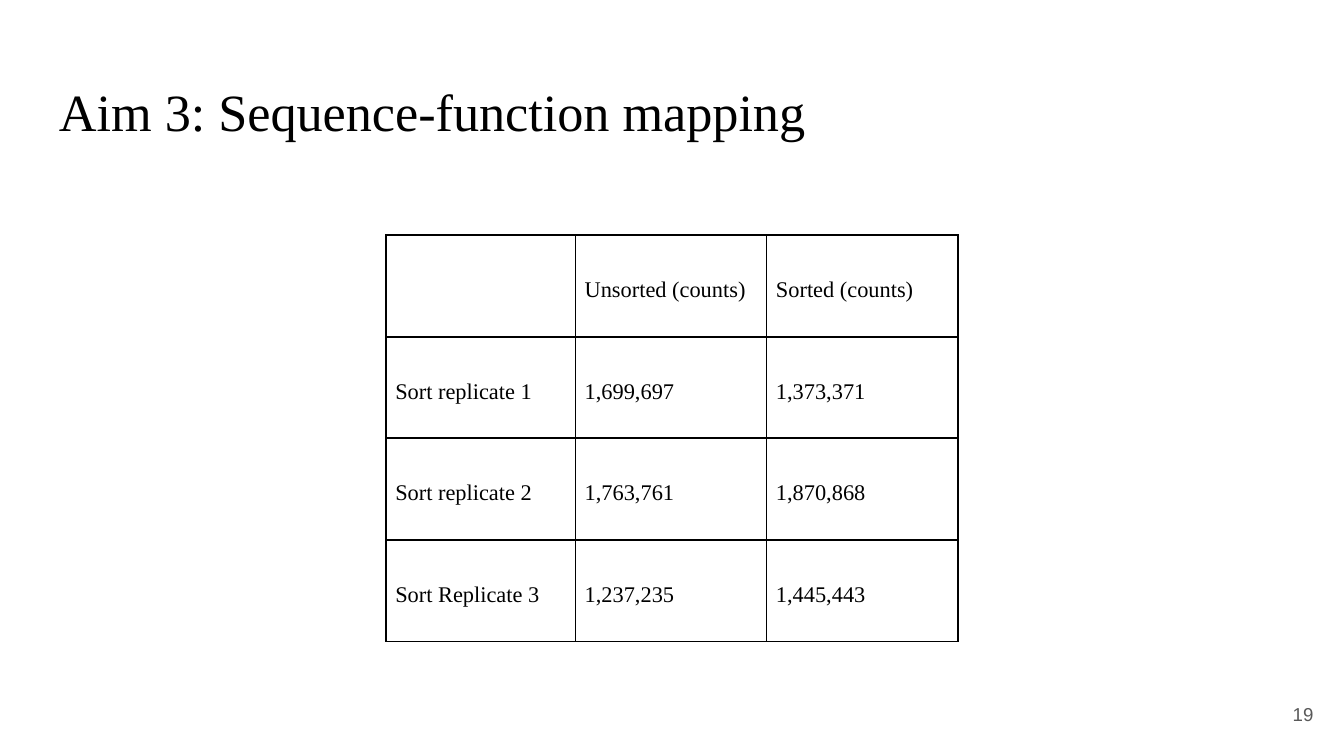
from lxml import etree
from pptx import Presentation
from pptx.dml.color import RGBColor
from pptx.enum.text import MSO_ANCHOR, PP_ALIGN
from pptx.oxml.ns import qn
from pptx.util import Pt

LEFT, RIGHT, JUSTIFY = PP_ALIGN.LEFT, PP_ALIGN.RIGHT, PP_ALIGN.JUSTIFY
TOP, MIDDLE = MSO_ANCHOR.TOP, MSO_ANCHOR.MIDDLE
BLACK = RGBColor(0x00, 0x00, 0x00)
GRAY = RGBColor(0x59, 0x59, 0x59)
SERIF, SANS = "Times New Roman", "Arial"

COLUMN_WIDTHS = (101.5, 102.5, 102.5)
ROW_HEIGHT = 54.4
COUNTS = (
    ("", "Unsorted (counts)", "Sorted (counts)"),
    ("Sort replicate 1", "1,699,697", "1,373,371"),
    ("Sort replicate 2", "1,763,761", "1,870,868"),
    ("Sort Replicate 3", "1,237,235", "1,445,443"),
)


class SlideBuilder:
    """Hold the style and the current slide, and add elements in points."""

    inset = 7.2
    cell_inset = 5
    cell_size = 12
    line_spacing = 2.18
    border_width = 1

    def __init__(self, slide):
        self.slide = slide

    def span(self, para, text, size, font, color):
        span = para.add_run()
        span.text = text
        span.font.size = Pt(size)
        span.font.name = font
        span.font.color.rgb = color

    def text(self, text, left, top, width, height, size, font, color,
             align=LEFT, anchor=TOP):
        box = self.slide.shapes.add_textbox(
            Pt(left), Pt(top), Pt(width), Pt(height))
        frame = box.text_frame
        frame.word_wrap = True
        frame.vertical_anchor = anchor
        frame.margin_left = frame.margin_right = Pt(self.inset)
        frame.margin_top = frame.margin_bottom = Pt(self.inset)
        para = frame.paragraphs[0]
        para.alignment = align
        self.span(para, text, size, font, color)

    def borders(self, cell):
        properties = cell._tc.get_or_add_tcPr()
        for side in ("lnL", "lnR", "lnT", "lnB"):
            line = etree.SubElement(properties, qn(f"a:{side}"),
                                    w=str(Pt(self.border_width)))
            fill = etree.SubElement(line, qn("a:solidFill"))
            etree.SubElement(fill, qn("a:srgbClr"), val=str(BLACK))

    def cell(self, cell, text):
        cell.margin_left = cell.margin_right = Pt(self.cell_inset)
        cell.margin_top = cell.margin_bottom = Pt(self.inset)
        self.borders(cell)
        cell.fill.background()
        para = cell.text_frame.paragraphs[0]
        para.font.size = Pt(self.cell_size)
        if text:
            para.alignment = JUSTIFY
            para.line_spacing = self.line_spacing
            self.span(para, text, self.cell_size, SERIF, BLACK)

    def table(self, rows, left, top, widths, row_height):
        table = self.slide.shapes.add_table(
            len(rows), len(widths), Pt(left), Pt(top),
            Pt(sum(widths)), Pt(row_height * len(rows))).table
        table.first_row = table.horz_banding = False
        for column, width in zip(table.columns, widths):
            column.width = Pt(width)
        for row, texts in zip(table.rows, rows):
            row.height = Pt(row_height)
            for cell, text in zip(row.cells, texts):
                self.cell(cell, text)


def main():
    deck = Presentation()
    deck.slide_width, deck.slide_height = Pt(720), Pt(405)
    page = SlideBuilder(deck.slides.add_slide(deck.slide_layouts[6]))
    page.text("Aim 3: Sequence-function mapping",
              24.5, 35, 671, 45, 28, SERIF, BLACK)
    page.text("19", 667.5, 367.2, 43.2, 31, 10, SANS, GRAY, RIGHT, MIDDLE)
    page.table(COUNTS, 206.75, 126, COLUMN_WIDTHS, ROW_HEIGHT)
    deck.save("out.pptx")


if __name__ == "__main__":
    main()
